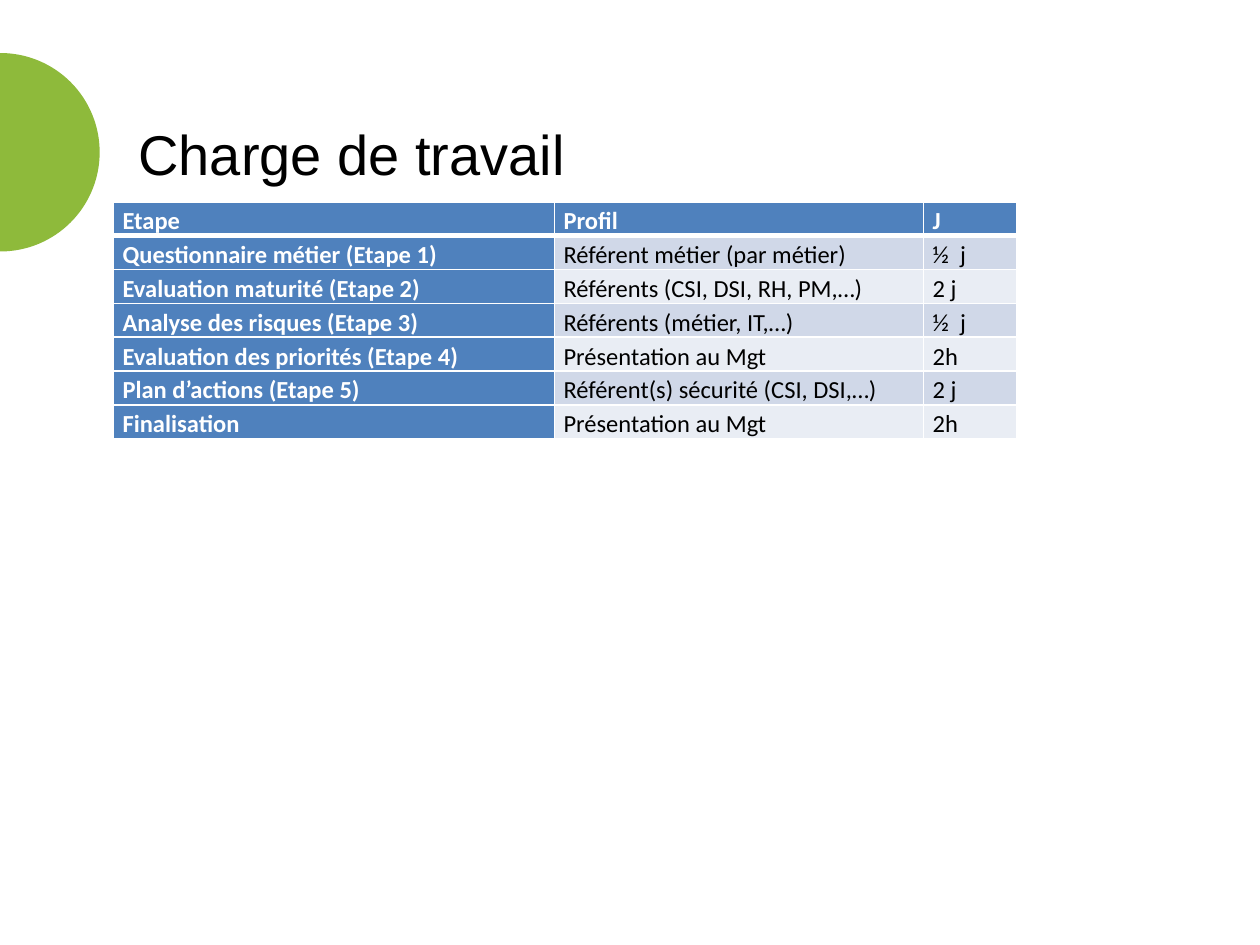
from lxml import etree
from pptx import Presentation
from pptx.dml.color import RGBColor
from pptx.enum import shapes, text
from pptx.oxml import ns
from pptx.util import Cm, Pt

HUES = {"green": "8EBA3B", "blue": "4F81BD", "dark": "D0D8E8",
        "light": "E9EDF4", "white": "FFFFFF", "black": "000000"}
COLS = [8.89, 7.44, 1.88]
ROWS = [
    ("Etape", "Profil", "J"),
    ("Questionnaire métier (Etape 1)", "Référent métier (par métier)", "½  j"),
    ("Evaluation maturité (Etape 2)", "Référents (CSI, DSI, RH, PM,…)", "2 j"),
    ("Analyse des risques (Etape 3)", "Référents (métier, IT,…)", "½  j"),
    ("Evaluation des priorités (Etape 4)", "Présentation au Mgt", "2h"),
    ("Plan d’actions (Etape 5)", "Référent(s) sécurité (CSI, DSI,…)", "2 j"),
    ("Finalisation", "Présentation au Mgt", "2h"),
]


def paint(fill, hue):
    fill.solid()
    fill.fore_color.rgb = RGBColor.from_string(HUES[hue])


def write(frame, words, font="Calibri", size=14, hue="black", bold=False, lead=1.0):
    para = frame.paragraphs[0]
    para.line_spacing = lead
    run = para.add_run()
    run.text = words
    run.font.name, run.font.size, run.font.bold = font, Pt(size), bold
    run.font.color.rgb = RGBColor.from_string(HUES[hue])


def edge(cell, top=1, base=1):
    props = cell._tc.get_or_add_tcPr()
    for spot, (side, width) in enumerate(zip("LRTB", (1, 1, top, base))):
        line = etree.Element(ns.qn(f"a:ln{side}"), w=str(Pt(width)))
        fill = etree.SubElement(line, ns.qn("a:solidFill"))
        etree.SubElement(fill, ns.qn("a:srgbClr"), val=HUES["white"])
        props.insert(spot, line)


def add_disc(slide, left, top, size):
    disc = slide.shapes.add_shape(shapes.MSO_SHAPE.OVAL, Cm(left), Cm(top), Cm(size), Cm(size))
    disc.shadow.inherit = False
    paint(disc.fill, "green")
    disc.line.fill.background()


def add_title(slide, left, top, width, height):
    frame = slide.shapes.add_textbox(Cm(left), Cm(top), Cm(width), Cm(height)).text_frame
    frame.word_wrap = True
    frame.vertical_anchor = text.MSO_ANCHOR.BOTTOM
    frame.margin_left = frame.margin_right = frame.margin_top = frame.margin_bottom = 0
    write(frame, "Charge de travail", font="Arial", size=32)


def add_grid(slide, left, top, width, height):
    grid = slide.shapes.add_table(len(ROWS), len(COLS), Cm(left), Cm(top),
                                  Cm(width), Cm(height)).table
    for col, span in zip(grid.columns, COLS):
        col.width = Cm(width * span / sum(COLS))
    for r, row in enumerate(ROWS):
        grid.rows[r].height = Cm(height / len(ROWS))
        for c, words in enumerate(row):
            cell = grid.cell(r, c)
            head = r == 0 or c == 0
            cell.margin_left = cell.margin_right = Cm(0.18)
            cell.margin_top = cell.margin_bottom = 0
            paint(cell.fill, "blue" if head else "dark" if r % 2 else "light")
            edge(cell, top=3 if r == 1 else 1, base=3 if r == 0 else 1)
            write(cell.text_frame, words, hue="white" if head else "black",
                  bold=head, lead=1.15)


def main():
    deck = Presentation()
    deck.slide_width, deck.slide_height = Cm(25.4), Cm(19.05)
    slide = deck.slides.add_slide(deck.slide_layouts[6])
    add_disc(slide, -1.99, 1.07, 4)
    add_title(slide, 2.79, 1.07, 21.34, 2.69)
    add_grid(slide, 2.29, 4.07, 18.21, 4.78)
    deck.save("out.pptx")


if __name__ == "__main__":
    main()
